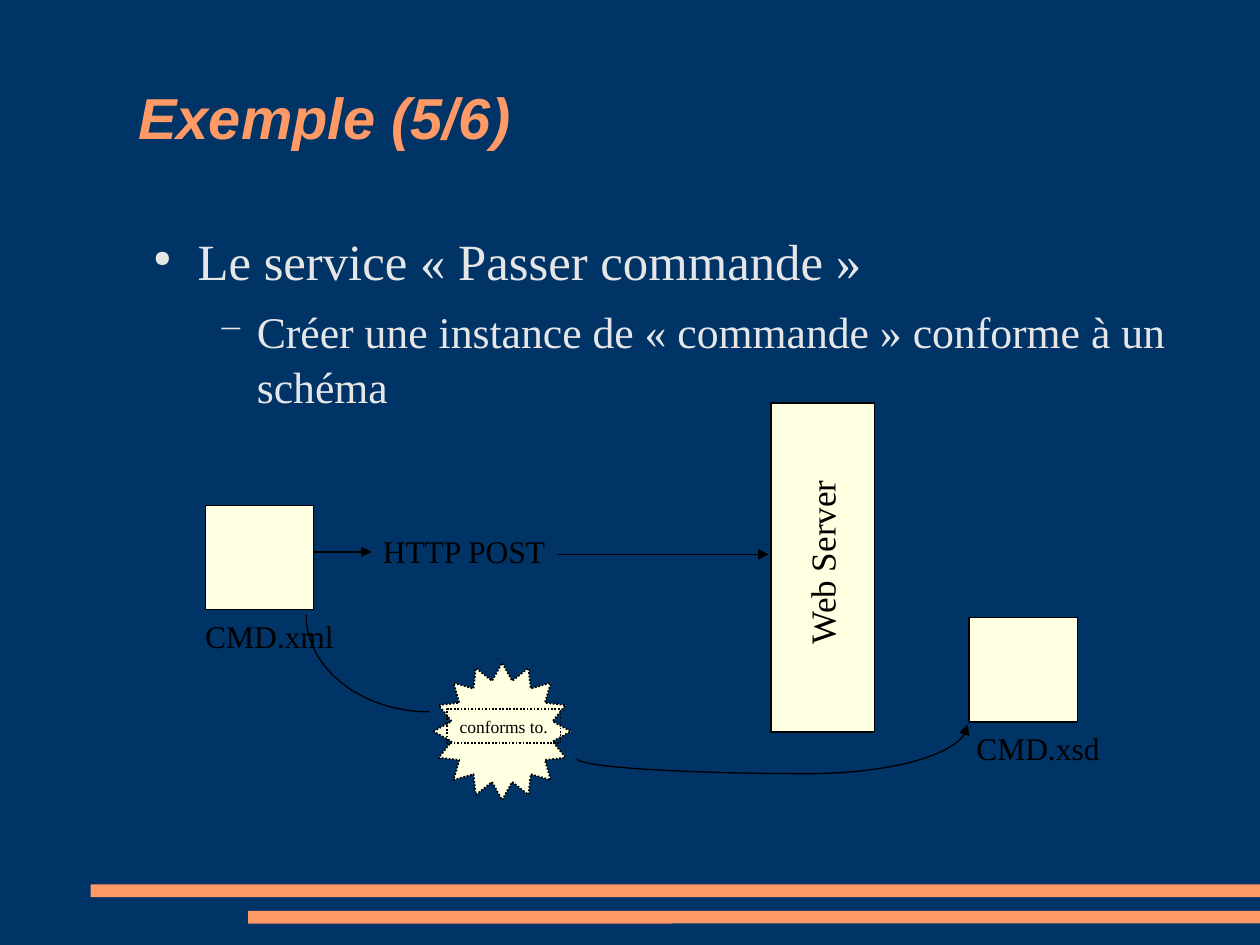
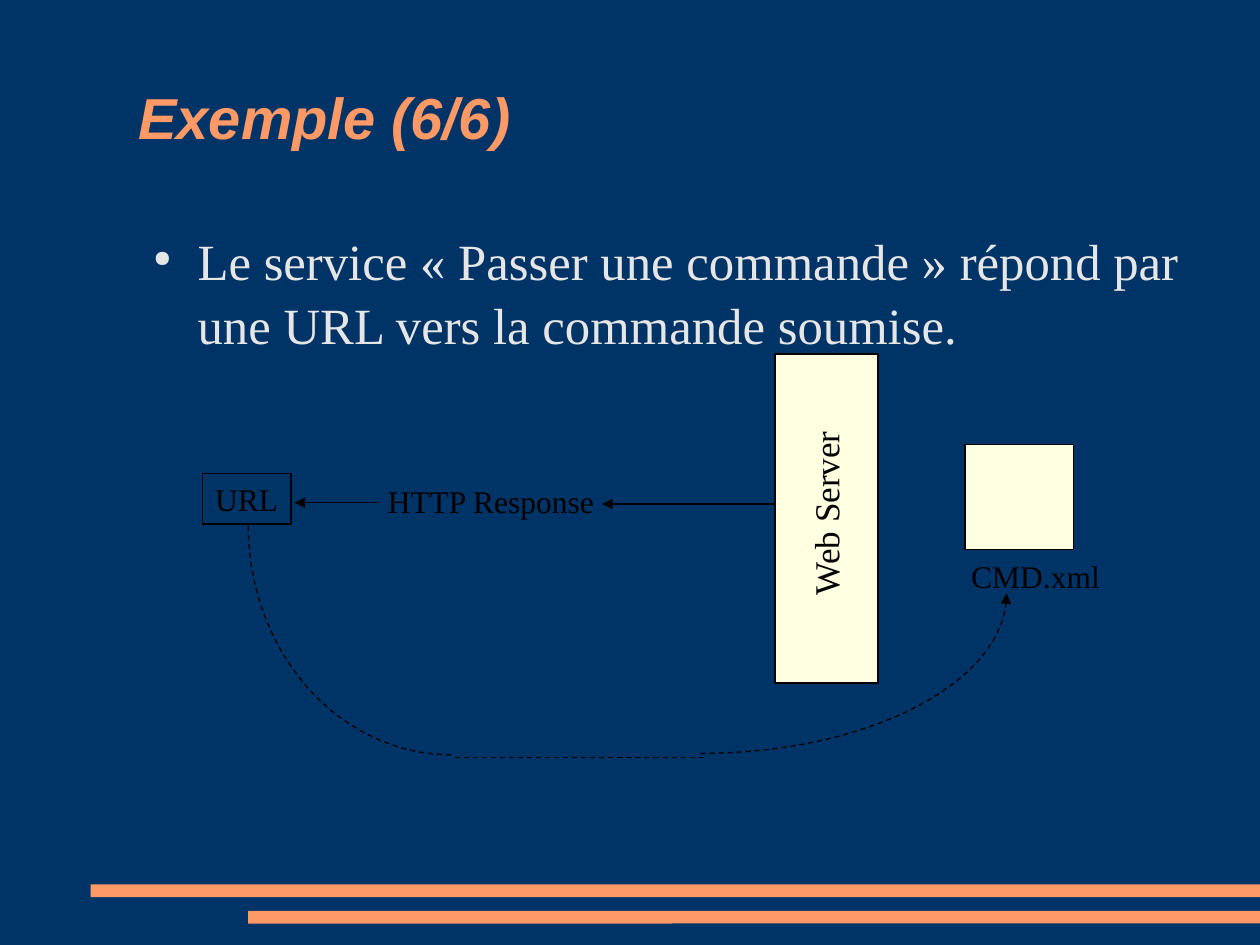
from math import cos, pi, sin

from lxml.etree import SubElement
from pptx import Presentation
from pptx.dml.color import RGBColor
from pptx.enum.dml import MSO_LINE
from pptx.enum.shapes import MSO_CONNECTOR, MSO_SHAPE
from pptx.enum.text import MSO_ANCHOR, MSO_AUTO_SIZE, PP_ALIGN
from pptx.oxml.ns import qn
from pptx.util import Inches, Pt

NAVY = RGBColor(0x00, 0x33, 0x66)
ORANGE = RGBColor(0xFF, 0x99, 0x66)
PALE = RGBColor(0xE6, 0xE6, 0xE6)
CREAM = RGBColor(0xFF, 0xFF, 0xE1)
BLACK = RGBColor(0x00, 0x00, 0x00)
SANS, SERIF = "Arial", "Times New Roman"

# The slide is a grid of 100 columns by 75 rows.
COLS, ROWS = 100, 75
CELL = Inches(0.1)

# Per level: text size, indent, hanging part, space before, bullet, bullet size
LEVELS = [
    (29, 4.7, 3.5, 7, "●", 45),
    (25, 9.4, 3.1, 6.5, "−", 75),
]


def cells(*counts):
    return [round(n * CELL) for n in counts]


def write(par, text, size, color=BLACK, font=SERIF):
    run = par.add_run()
    run.text = text
    run.font.size = Pt(size)
    run.font.name = font
    run.font.color.rgb = color
    return run


def ink(item, width=0.75, dash=None, head=None):
    """Stroke in black; head is "headEnd" or "tailEnd" for an arrow."""
    item.line.color.rgb = BLACK
    item.line.width = Pt(width)
    if dash:
        item.line.dash_style = dash
    if head:
        stroke = item._element.spPr.find(qn("a:ln"))
        SubElement(stroke, qn(f"a:{head}"), type="triangle")


def block(slide, at, kind=MSO_SHAPE.RECTANGLE, fill=CREAM):
    shape = slide.shapes.add_shape(kind, *cells(*at))
    shape.shadow.inherit = False
    shape.fill.solid()
    shape.fill.fore_color.rgb = fill
    shape.line.fill.background()
    return shape


def label(slide, at, text, size=18):
    box = slide.shapes.add_textbox(*cells(*at))
    frame = box.text_frame
    frame.word_wrap = False
    frame.auto_size = MSO_AUTO_SIZE.SHAPE_TO_FIT_TEXT
    write(frame.paragraphs[0], text, size)
    return box


def server(slide, left, top):
    ink(block(slide, (left, top, 8.2, 26.1)), 1)
    name = label(slide, (left - 4.6, top + 11.6, 17.3, 4.4), "Web Server", 20)
    name.rotation = 270
    name.text_frame.word_wrap = True
    name.text_frame.paragraphs[0].alignment = PP_ALIGN.RIGHT


def document(slide, left, top, name, shift):
    """A file box with its name below, shifted sideways."""
    ink(block(slide, (left, top, 8.6, 8.3)))
    label(slide, (left + shift, top + 8.4, 12.2, 4), name)


def link(slide, start, end, dash=None, head=None):
    line = slide.shapes.add_connector(
        MSO_CONNECTOR.STRAIGHT, *cells(*start, *end))
    ink(line, dash=dash, head=head)
    SubElement(line._element.spPr, qn("a:effectLst"))


def bend(slide, start, end, dash=None, head=None, steps=40):
    """A quarter ellipse that leaves start level and reaches end upright."""
    (x0, y0), (x1, y1) = start, end
    turns = [pi / 2 * i / steps for i in range(steps + 1)]
    points = [cells(x0 + (x1 - x0) * sin(t), y1 + (y0 - y1) * cos(t))
              for t in turns]
    pen = slide.shapes.build_freeform(*points[0])
    pen.add_line_segments(points[1:], close=False)
    curve = pen.convert_to_shape()
    curve.shadow.inherit = False
    curve.fill.background()
    ink(curve, dash=dash, head=head)


def bullet(par, text, level):
    size, indent, hang, before, mark, share = LEVELS[level]
    par.level = level
    par.space_before = Pt(before)
    par.line_spacing = 1.05
    props = par._p.get_or_add_pPr()
    left, back = cells(indent, -hang)
    props.set("marL", str(left))
    props.set("indent", str(back))
    tint = SubElement(props, qn("a:buClr"))
    SubElement(tint, qn("a:srgbClr"), val=str(PALE))
    SubElement(props, qn("a:buSzPct"), val=str(share * 1000))
    SubElement(props, qn("a:buChar"), char=mark)
    write(par, text, size, PALE)


def page(deck, title, points):
    """A slide with the shared bands, its title and its bullets."""
    slide = deck.slides.add_slide(deck.slide_layouts[6])
    for left, top in ((7.2, 70.2), (19.7, 72.3)):
        band = block(slide, (left, top, COLS - left, 1),
                     MSO_SHAPE.ROUNDED_RECTANGLE, ORANGE)
        band.adjustments[0] = 0.02

    head = slide.shapes.add_textbox(*cells(10, 3, 85, 12.5)).text_frame
    head.word_wrap = True
    head.vertical_anchor = MSO_ANCHOR.MIDDLE
    run = write(head.paragraphs[0], title, 33, ORANGE, SANS)
    run.font.bold = run.font.italic = True

    body = slide.shapes.add_textbox(*cells(10, 17.5, 85, 49.5)).text_frame
    body.word_wrap = True
    for level, text in enumerate(points):
        par = body.add_paragraph() if level else body.paragraphs[0]
        bullet(par, text, level)
    return slide


def request(deck):
    slide = page(deck, "Exemple (5/6)", [
        "Le service « Passer commande »",
        "Créer une instance de « commande » conforme à un schéma",
    ])
    server(slide, 61.2, 32)
    document(slide, 76.9, 49, "CMD.xsd", -0.4)
    document(slide, 16.3, 40.1, "CMD.xml", -1)
    label(slide, (29.4, 41.7, 15, 4), "HTTP POST")
    link(slide, (24.9, 43.8), (29.5, 43.8), head="tailEnd")
    link(slide, (44.2, 44), (61, 44), head="tailEnd")

    star = block(slide, (34.4, 52.6, 10.9, 10.9), MSO_SHAPE.STAR_16_POINT)
    ink(star, 1, MSO_LINE.ROUND_DOT)
    note = label(slide, (35.5, 56.3, 9, 2.7), "conforms to.", 10)
    ink(note, 1, MSO_LINE.ROUND_DOT)

    low = (64.2, 61.4)
    bend(slide, (34.1, 56.5), (24.3, 48.8))
    bend(slide, low, (76.8, 57.5), head="tailEnd")
    bend(slide, low, (45.8, 60.2))


def response(deck):
    slide = page(deck, "Exemple (6/6)", [
        "Le service « Passer une commande » répond par une URL "
        "vers la commande soumise.",
    ])
    server(slide, 61.5, 28.1)
    document(slide, 76.6, 35.3, "CMD.xml", -0.5)
    label(slide, (29.8, 37.8, 18.4, 4), "HTTP Response")
    link(slide, (47.8, 40), (61.4, 40), head="headEnd")
    link(slide, (30.1, 39.9), (23.4, 39.9), head="tailEnd")
    ink(label(slide, (16.1, 37.6, 7, 4), "URL"))

    dash = MSO_LINE.DASH
    bend(slide, (35.8, 59.9), (19.7, 41.7), dash)
    bend(slide, (55.6, 59.8), (79.9, 47.1), dash, "tailEnd")
    link(slide, (36.1, 60.1), (55.9, 60.1), dash)


def main():
    deck = Presentation()
    deck.slide_width, deck.slide_height = cells(COLS, ROWS)
    back = deck.slide_master.background.fill
    back.solid()
    back.fore_color.rgb = NAVY
    request(deck)
    response(deck)
    deck.save("out.pptx")


if __name__ == "__main__":
    main()
